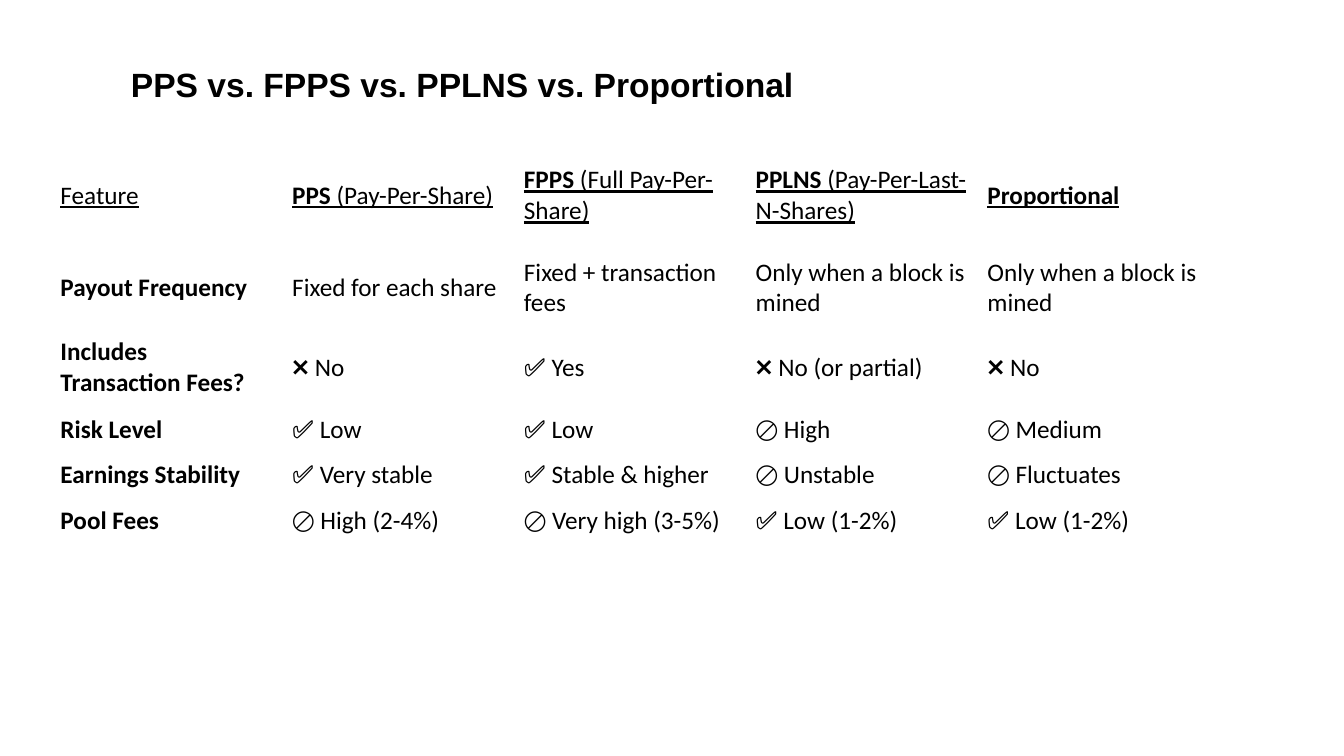
"""Build a slide comparing mining pool payout schemes."""
import pptx
import pptx.dml.color
import pptx.enum.text
import pptx.util

BLACK = pptx.dml.color.RGBColor(0x00, 0x00, 0x00)
WHITE = pptx.dml.color.RGBColor(0xFF, 0xFF, 0xFF)

COLUMN_WIDTH = 5.84
ROW_HEIGHTS = [2.64, 2.01, 2.01, 1.14, 1.14, 1.14]
SCHEMES = [
    ("", "Feature"),
    ("PPS", " (Pay-Per-Share)"),
    ("FPPS", " (Full Pay-Per-Share)"),
    ("PPLNS", " (Pay-Per-Last-N-Shares)"),
    ("Proportional", ""),
]
FEATURES = [
    ("Payout Frequency", "Fixed for each share", "Fixed + transaction fees",
     "Only when a block is mined", "Only when a block is mined"),
    ("Includes Transaction Fees?", "❌ No", "✅ Yes", "❌ No (or partial)", "❌ No"),
    ("Risk Level", "✅ Low", "✅ Low", "🚫 High", "🚫 Medium"),
    ("Earnings Stability", "✅ Very stable", "✅ Stable & higher",
     "🚫 Unstable", "🚫 Fluctuates"),
    ("Pool Fees", "🚫 High (2-4%)", "🚫 Very high (3-5%)",
     "✅ Low (1-2%)", "✅ Low (1-2%)"),
]


def add_run(p, text, font, size, bold=False, underline=False):
    r = p.add_run()
    r.text = text
    r.font.name = font
    r.font.size = pptx.util.Pt(size)
    r.font.bold = bold
    r.font.underline = underline
    r.font.color.rgb = BLACK


def set_title(s, text):
    sp = s.shapes.title
    sp.left, sp.top = pptx.util.Cm(1.7), pptx.util.Cm(0.76)
    sp.width, sp.height = pptx.util.Cm(30.48), pptx.util.Cm(3.18)
    tf = sp.text_frame
    tf.word_wrap = True
    tf.auto_size = pptx.enum.text.MSO_AUTO_SIZE.NONE
    tf.vertical_anchor = pptx.enum.text.MSO_ANCHOR.BOTTOM
    tf.margin_left = pptx.util.Cm(1.6)
    tf.margin_bottom = pptx.util.Cm(1.29)
    p = tf.paragraphs[0]
    p.alignment = pptx.enum.text.PP_ALIGN.LEFT
    p.line_spacing = 0.9
    add_run(p, text, "Arial", 24, bold=True)


def fill_cell(cell, bold_text, plain_text, underline=False):
    cell.fill.solid()
    cell.fill.fore_color.rgb = WHITE
    cell.vertical_anchor = pptx.enum.text.MSO_ANCHOR.MIDDLE
    p = cell.text_frame.paragraphs[0]
    for text, bold in ((bold_text, True), (plain_text, False)):
        if text:
            add_run(p, text, "Calibri", 18, bold, underline)


def add_comparison_table(s):
    table = s.shapes.add_table(
        len(ROW_HEIGHTS), len(SCHEMES), pptx.util.Cm(1.27), pptx.util.Cm(3.61),
        pptx.util.Cm(COLUMN_WIDTH * len(SCHEMES)),
        pptx.util.Cm(sum(ROW_HEIGHTS))).table
    table.first_row = False
    table.horz_banding = False
    for column in table.columns:
        column.width = pptx.util.Cm(COLUMN_WIDTH)
    for row, height in zip(table.rows, ROW_HEIGHTS):
        row.height = pptx.util.Cm(height)
    for j, (name, meaning) in enumerate(SCHEMES):
        fill_cell(table.cell(0, j), name, meaning, underline=True)
    for i, (feature, *values) in enumerate(FEATURES, start=1):
        fill_cell(table.cell(i, 0), feature, "")
        for j, value in enumerate(values, start=1):
            fill_cell(table.cell(i, j), "", value)


def main():
    prs = pptx.Presentation()
    prs.slide_width = pptx.util.Cm(33.87)
    prs.slide_height = pptx.util.Cm(19.05)
    s = prs.slides.add_slide(prs.slide_layouts.get_by_name("Title Only"))
    set_title(s, "PPS vs. FPPS vs. PPLNS vs. Proportional")
    add_comparison_table(s)
    prs.save("out.pptx")


if __name__ == "__main__":
    main()
